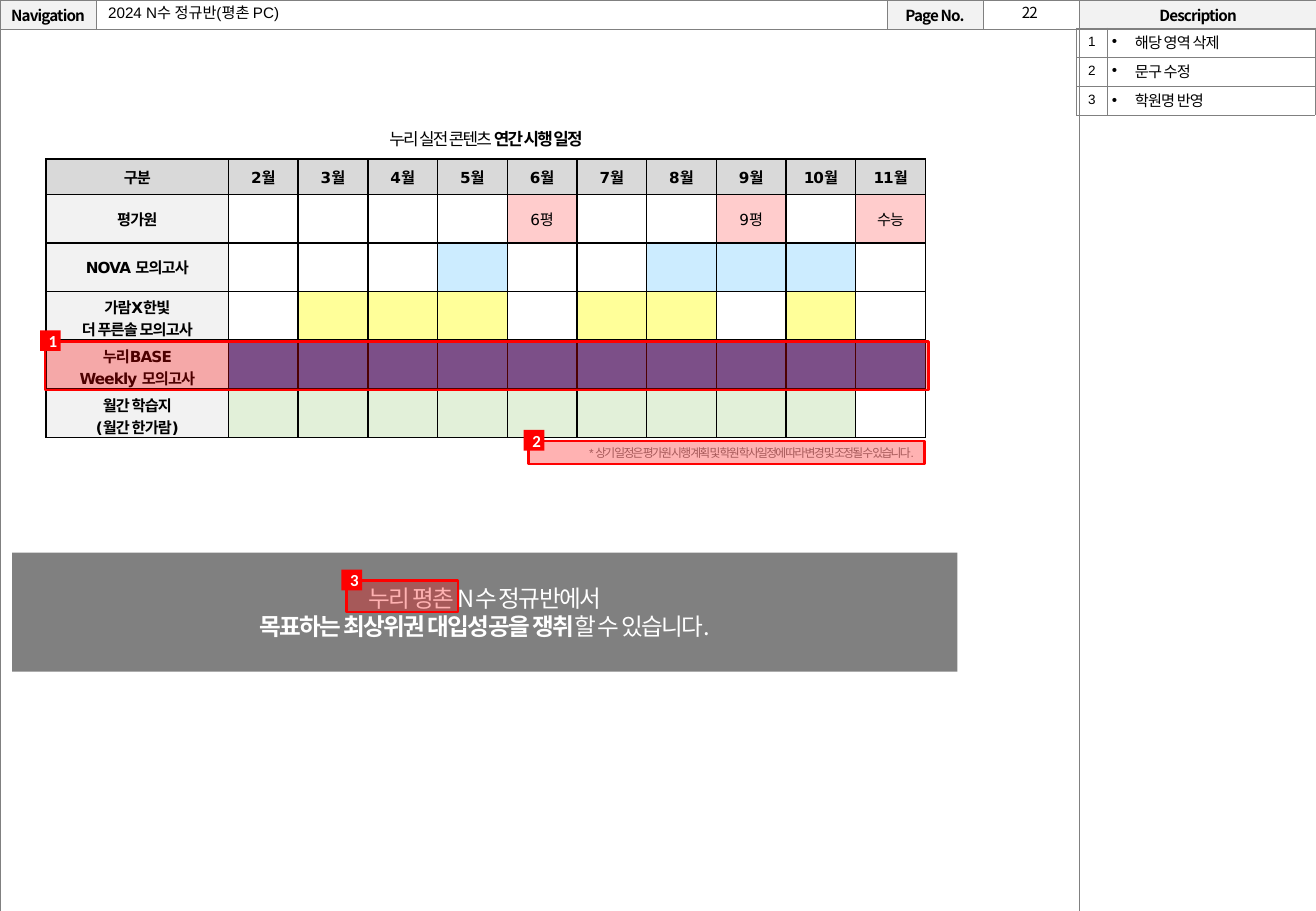
from lxml.etree import SubElement
from pptx import Presentation
from pptx.dml.color import RGBColor
from pptx.enum.shapes import MSO_SHAPE
from pptx.enum.text import MSO_ANCHOR, PP_ALIGN
from pptx.oxml.ns import qn
from pptx.util import Inches, Pt

COLORS = {
    "black": "000000", "white": "FFFFFF", "gray": "808080", "label": "F2F2F2",
    "header": "D9D9D9", "red": "FF0000", "pink": "FFCCCC", "sky": "CCECFF",
    "yellow": "FFFF99", "blue": "4472C4", "green": "E2F0D9",
}
KOREAN = "Noto Sans CJK KR"
CENTER, LEFT, RIGHT = PP_ALIGN.CENTER, PP_ALIGN.LEFT, PP_ALIGN.RIGHT
MONTHS = range(2, 12)
# Label lines, fill, and marked months with their text
SCHEDULE = [
    (["평가원"], "pink", {6: "6평", 9: "9평", 11: "수능"}),
    (["NOVA 모의고사"], "sky", dict.fromkeys([5, 8, 9, 10], "")),
    (["가람X한빛", "더 푸른솔 모의고사"], "yellow",
     dict.fromkeys([3, 4, 5, 7, 8, 10], "")),
    (["누리BASE", "Weekly 모의고사"], "blue", dict.fromkeys(MONTHS, "")),
    (["월간 학습지", "(월간 한가람)"], "green", dict.fromkeys(range(2, 11), "")),
]


def rgb(name):
    return RGBColor.from_string(COLORS[name])


def write(text_frame, lines, size, font, color="black", bold=False,
          align=CENTER, spacing=0, line_spacing=None):
    """Each line is a string or a list of (text, bold) parts."""
    for index, line in enumerate(lines):
        paragraph = text_frame.paragraphs[0] if index == 0 else text_frame.add_paragraph()
        paragraph.alignment = align
        if line_spacing:
            paragraph.line_spacing = line_spacing
        parts = [(line, bold)] if isinstance(line, str) else line
        for text, heavy in parts:
            if not text:
                SubElement(paragraph._p, qn("a:endParaRPr"), sz=str(size * 100))
                continue
            run = paragraph.add_run()
            run.text = text
            run.font.size = Pt(size)
            run.font.name = font
            run.font.bold = heavy
            run.font.color.rgb = rgb(color)
            properties = run.font._element
            properties.set("spc", str(int(spacing * 100)))
            SubElement(properties, qn("a:ea"), typeface=KOREAN)


def set_margins(box, left, top, right, bottom):
    box.margin_left, box.margin_top = Inches(left), Inches(top)
    box.margin_right, box.margin_bottom = Inches(right), Inches(bottom)


def add_grid(slide, left, top, widths, heights):
    shape = slide.shapes.add_table(len(heights), len(widths), Inches(left), Inches(top),
                                   Inches(sum(widths)), Inches(sum(heights)))
    table = shape.table
    table.first_row = table.horz_banding = False
    for column, width in zip(table.columns, widths):
        column.width = Inches(width)
    for row, height in zip(table.rows, heights):
        row.height = Inches(height)
    return table


def style_cell(cell, fill, border, line_width):
    cell.vertical_anchor = MSO_ANCHOR.MIDDLE
    properties = cell._tc.get_or_add_tcPr()
    for side in ("lnL", "lnR", "lnT", "lnB"):
        line = SubElement(properties, qn(f"a:{side}"), w=str(Pt(line_width)))
        solid = SubElement(line, qn("a:solidFill"))
        SubElement(solid, qn("a:srgbClr"), val=COLORS[border])
    if fill:
        cell.fill.solid()
        cell.fill.fore_color.rgb = rgb(fill)
    else:
        cell.fill.background()


def add_text(slide, left, top, width, height, lines, size, font, **style):
    box = slide.shapes.add_textbox(Inches(left), Inches(top), Inches(width), Inches(height))
    box.text_frame.word_wrap = True
    write(box.text_frame, lines, size, font, **style)


def add_rectangle(slide, left, top, width, height, fill):
    shape = slide.shapes.add_shape(MSO_SHAPE.RECTANGLE, Inches(left), Inches(top),
                                   Inches(width), Inches(height))
    shape.shadow.inherit = False
    shape.fill.solid()
    shape.fill.fore_color.rgb = rgb(fill)
    shape.line.fill.background()
    shape.text_frame.vertical_anchor = MSO_ANCHOR.MIDDLE
    return shape


def add_page_frame(slide, left, top):
    widths = [0.79, 6.51, 0.79, 0.79, 1.96]
    table = add_grid(slide, left, top, widths, [0.24, 7.27])
    table.cell(1, 0).merge(table.cell(1, 3))
    headings = ["Navigation", "", "Page No.", "", "Description"]
    for column, heading in enumerate(headings):
        for row, text in enumerate([heading, ""]):
            cell = table.cell(row, column)
            set_margins(cell, 0, 0, 0, 0)
            write(cell.text_frame, [text], 9, KOREAN, bold=True, spacing=-0.5)
            style_cell(cell, "label" if text else "white", "gray", 0.25)
    add_text(slide, left + sum(widths[:3]), top - 0.02, 0.77, 0.25, ["22"], 9, KOREAN,
             spacing=-0.5)


def place_title(slide, left, top, width, height):
    title = slide.shapes.title
    title.left, title.top = Inches(left), Inches(top)
    title.width, title.height = Inches(width), Inches(height)
    title.text_frame.vertical_anchor = MSO_ANCHOR.MIDDLE
    write(title.text_frame, ["2024 N수 정규반(평촌 PC)"], 9, "Arial", align=LEFT,
          line_spacing=0.9)
    title.element.getparent().append(title.element)  # in front of the frame


def add_schedule(slide, left, top, width):
    add_text(slide, left, top - 0.3, width, 0.27,
             [[("누리 실전 콘텐츠 ", False), ("연간 시행 일정", True)]], 10, "Arial", spacing=-1)
    month_width = (width - 1.5) / len(MONTHS)
    table = add_grid(slide, left, top, [1.5] + [month_width] * len(MONTHS),
                     [0.29] + [0.4] * len(SCHEDULE))
    # Every row becomes (lines, fill, bold) per cell
    rows = [[(["구분"], "header", True)] + [([f"{m}월"], "header", True) for m in MONTHS]]
    for label, fill, marks in SCHEDULE:
        rows.append([(label, "label", True)] + [
            ([marks.get(m, "")], fill if m in marks else "white", False) for m in MONTHS])
    for r, row in enumerate(rows):
        for c, (lines, fill, bold) in enumerate(row):
            cell = table.cell(r, c)
            set_margins(cell, 0.1, 0.04 if len(lines) > 1 else 0, 0.1, 0)
            write(cell.text_frame, lines, 9, "DejaVu Sans", bold=bold, spacing=-0.5)
            style_cell(cell, fill, "black", 1)
    add_text(slide, left, top + 2.31, width, 0.22,
             ["* 상기 일정은 평가원 시행 계획 및 학원 학사일정에 따라 변경 및 조정될 수 있습니다."],
             7, "Arial", color="gray", align=RIGHT, spacing=-1)


def add_banner(slide, left, top, width, height):
    banner = add_rectangle(slide, left, top, width, height, "gray")
    write(banner.text_frame,
          ["누리 평촌 N수 정규반에서",
           [("목표하는 최상위권 대입성공을 쟁취", True), ("할 수 있습니다.", False)]],
          14, KOREAN, color="white", spacing=-1)


def add_callout(slide, number, left, top, width, height):
    area = add_rectangle(slide, left, top, width, height, "red")
    color = area.fill._xPr.find(qn("a:solidFill"))[0]
    SubElement(color, qn("a:alpha"), val="30000")
    area.line.color.rgb = rgb("red")
    area.line.width = Pt(1.5)
    badge = add_rectangle(slide, left - 0.04, top - 0.09, 0.17, 0.17, "red")
    write(badge.text_frame, [str(number)], 10, "Calibri", color="white", bold=True)


def add_descriptions(slide, left, top, notes):
    table = add_grid(slide, left, top, [0.25, 1.71], [0.24] * len(notes))
    for row, note in enumerate(notes):
        for column, text in enumerate([str(row + 1), note]):
            cell = table.cell(row, column)
            set_margins(cell, 0.04, 0.04, 0.04, 0.04)
            if column:
                properties = cell.text_frame.paragraphs[0]._p.get_or_add_pPr()
                properties.set("marL", str(Inches(0.19)))
                properties.set("indent", str(-Inches(0.19)))
                SubElement(properties, qn("a:buFont"), typeface="Arial")
                SubElement(properties, qn("a:buChar"), char="•")
            write(cell.text_frame, [text], 9 if column else 8, "Arial",
                  align=LEFT if column else CENTER,
                  spacing=-0.5 if column else -1, line_spacing=0.9)
            style_cell(cell, None, "gray", 0.25)


def main():
    presentation = Presentation()
    presentation.slide_width, presentation.slide_height = Inches(10.83), Inches(7.5)
    slide = presentation.slides.add_slide(presentation.slide_layouts[5])
    add_page_frame(slide, 0, 0)
    place_title(slide, 0.79, 0, 6.49, 0.23)
    add_schedule(slide, 0.38, 1.31, 7.24)
    add_banner(slide, 0.1, 4.55, 7.78, 0.98)
    areas = [(0.37, 2.81, 7.27, 0.4), (4.35, 3.63, 3.26, 0.19), (2.85, 4.78, 0.92, 0.26)]
    for number, area in enumerate(areas, 1):
        add_callout(slide, number, *area)
    add_descriptions(slide, 8.86, 0.23, ["해당 영역 삭제", "문구 수정", "학원명 반영"])
    presentation.save("out.pptx")


if __name__ == "__main__":
    main()
